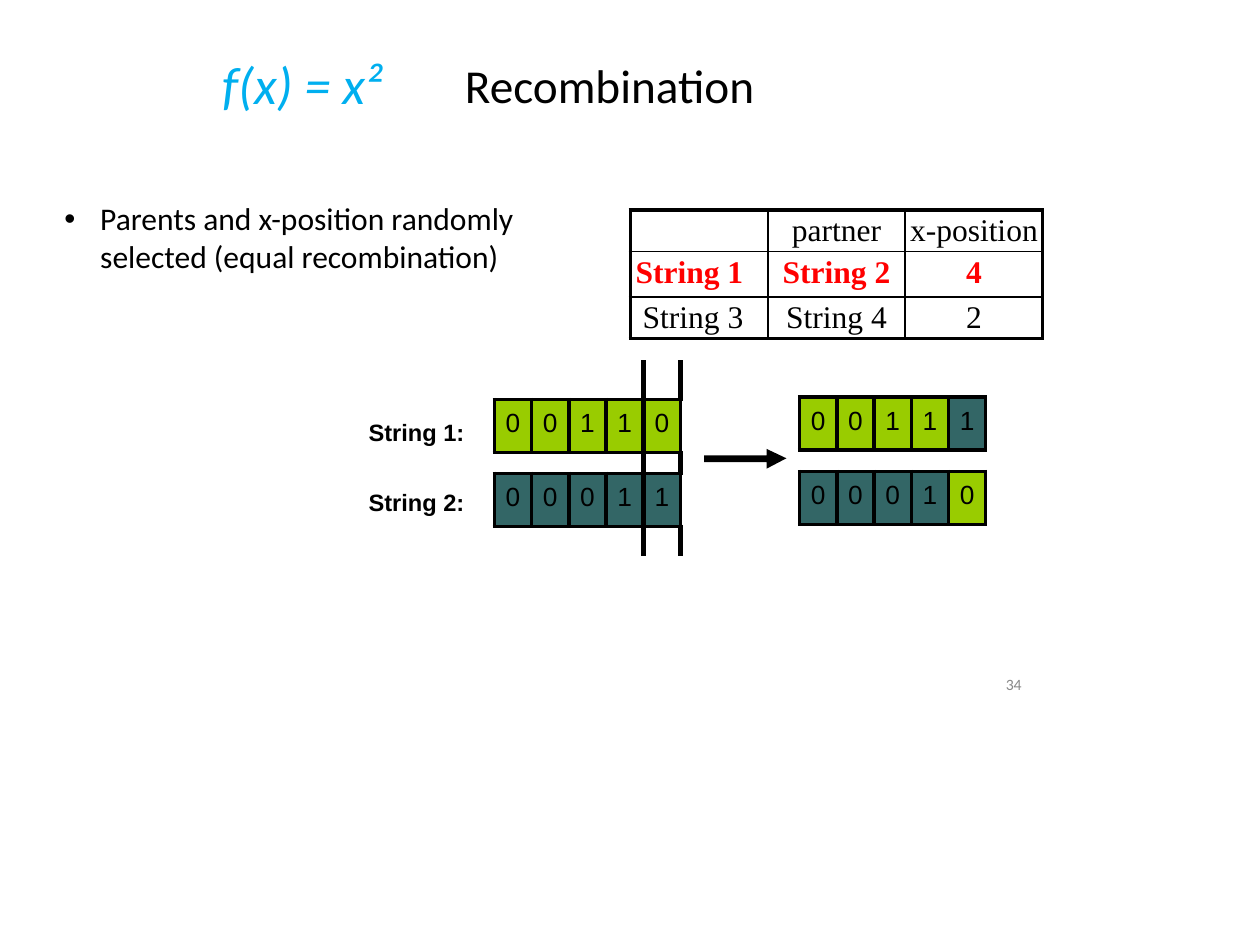
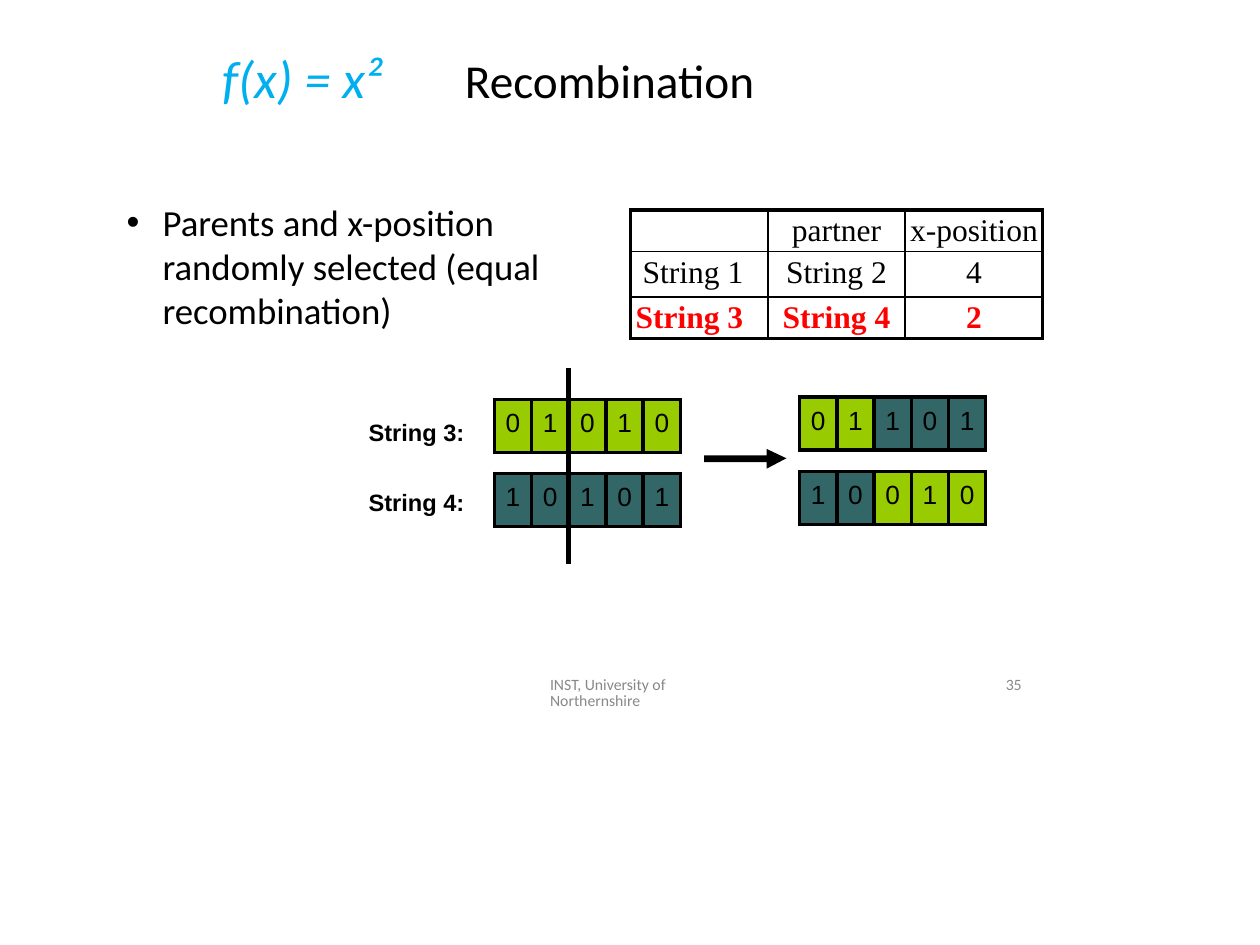
import pptx
import pptx.util
import pptx.dml.color
import pptx.enum.text
import lxml.etree
from pptx.oxml.ns import qn

Inches, Pt = pptx.util.Inches, pptx.util.Pt
ALIGN = pptx.enum.text.PP_ALIGN

COLORS = {"black": "000000", "formula": "00AFEF", "chosen": "FF0000",
          "first": "99CC00", "second": "336666", "footer": "888888"}
NO_GRID_STYLE = "{2D5ABB26-0587-4C30-8999-92F81FD0307C}"

FORMULA, TITLE = "f(x) = x²", "Recombination"
RULE = "Parents and x-position randomly selected (equal recombination)"
FOOTER = "INST, University of Northernshire"
SCHEDULE = [("", "partner", "x-position"),
            ("String 1", "String 2", "4"),
            ("String 3", "String 4", "2")]

SLIDES = [
    {"pair": 1, "parents": ("00110", "00011"), "title_top": 0.54,
     "rule_box": (0.67, 2.1, 5.75, 0.82), "rule_size": 24,
     "cut_top": 3.81, "footer": "", "number": "34"},
    {"pair": 2, "parents": ("01010", "10101"), "title_top": 0.48,
     "rule_box": (1.33, 2.1, 5.08, 1.43), "rule_size": 28,
     "cut_top": 3.89, "footer": FOOTER, "number": "35"},
]

GENES_WIDTH, GENE_HEIGHT, PARENT_GAP, CUT_HEIGHT = 1.97, 0.56, 0.22, 2.08
PARENTS_LEFT, PARENTS_TOP = 5.23, 4.23
CHILDREN_LEFT, CHILDREN_TOPS = 8.46, (4.2, 4.99)
GENE_LINE, CUT_LINE, OUTER_LINE, INNER_LINE = 3, 4.25, 3, 1.5
ARROW = [(7.45, 4.82), (8.11, 4.82), (8.11, 4.75), (8.32, 4.85),
         (8.11, 4.96), (8.11, 4.89), (7.45, 4.89)]


def rgb(name):
    return pptx.dml.color.RGBColor.from_string(COLORS[name])


def write(para, text, size=20, font="Arial", color="black", bold=False,
          italic=False, align=None, before=0, line=None, indent=0, bullet=""):
    para.alignment = align
    para.space_before = Pt(before)
    if line:
        para.line_spacing = Pt(line)
    span = para.add_run()
    span.text = text
    span.font.size, span.font.name = Pt(size), font
    span.font.bold, span.font.italic = bold, italic
    span.font.color.rgb = rgb(color)
    props = para._p.get_or_add_pPr()
    props.set("marL", str(Inches(indent)))
    if bullet:
        props.set("indent", str(-Inches(0.38)))
        lxml.etree.SubElement(props, qn("a:buFont")).set("typeface", "Arial")
        lxml.etree.SubElement(props, qn("a:buChar")).set("char", bullet)


def add_text(page, place, text, top_inset=0.01, **style):
    box = page.shapes.add_textbox(*map(Inches, place))
    frame = box.text_frame
    frame.word_wrap = True
    frame.auto_size = pptx.enum.text.MSO_AUTO_SIZE.SHAPE_TO_FIT_TEXT
    frame.margin_left = frame.margin_right = frame.margin_bottom = 0
    frame.margin_top = Inches(top_inset)
    write(frame.paragraphs[0], text, **style)
    return frame


def add_table(page, left, top, width, columns, heights):
    """Add an unstyled table with equal columns and no cell margins."""
    table = page.shapes.add_table(
        len(heights), columns, Inches(left), Inches(top),
        Inches(width), Inches(sum(heights))).table
    table.first_row = table.horz_banding = False
    table._tbl.tblPr.find(qn("a:tableStyleId")).text = NO_GRID_STYLE
    for column in table.columns:
        column.width = Inches(width / columns)
    for row, height in zip(table.rows, heights):
        row.height = Inches(height)
    for cell in table.iter_cells():
        cell.margin_left = cell.margin_right = 0
        cell.margin_top = cell.margin_bottom = 0
        small = cell.text_frame.paragraphs[0]._p.get_or_add_endParaRPr()
        small.set("sz", "1000")
    return table


def set_borders(cell, **widths):
    """Draw the sides named L, R, T and B, each with its width in points."""
    props = cell._tc.get_or_add_tcPr()
    sides = [side for side in "LRTB" if side in widths]
    for index, side in enumerate(sides):
        line = lxml.etree.Element(qn("a:ln" + side), w=str(Pt(widths[side])))
        fill = lxml.etree.SubElement(line, qn("a:solidFill"))
        lxml.etree.SubElement(fill, qn("a:srgbClr")).set("val", COLORS["black"])
        props.insert(index, line)


def fill_genes(table, row, genes, cut=None):
    """Fill a row with (digit, colour) pairs; the cut is a heavier line."""
    for column, (digit, color) in enumerate(genes):
        cell = table.cell(row, column)
        cell.margin_top = Inches(0.1)
        cell.fill.solid()
        cell.fill.fore_color.rgb = rgb(color)
        write(cell.text_frame.paragraphs[0], digit, align=ALIGN.CENTER,
              before=7.5)
        set_borders(cell, T=GENE_LINE, B=GENE_LINE,
                    L=CUT_LINE if column == cut else GENE_LINE,
                    R=CUT_LINE if column + 1 == cut else GENE_LINE)


def add_parents(page, parents, cut, top):
    above = PARENTS_TOP - top
    below = CUT_HEIGHT - above - 2 * GENE_HEIGHT - PARENT_GAP
    heights = [above, GENE_HEIGHT, PARENT_GAP, GENE_HEIGHT, below]
    count = len(parents[0])
    table = add_table(page, PARENTS_LEFT, top, GENES_WIDTH, count, heights)
    for row, genes in zip((1, 3), parents):
        fill_genes(table, row, genes, cut)
    for row in (0, 2, 4):
        for start, end in ((0, cut - 1), (cut, count - 1)):
            if end > start:
                table.cell(row, start).merge(table.cell(row, end))
        set_borders(table.cell(row, 0), R=CUT_LINE)
        set_borders(table.cell(row, cut), L=CUT_LINE)


def add_children(page, parents, cut):
    first, second = parents
    children = (first[:cut] + second[cut:], second[:cut] + first[cut:])
    for top, genes in zip(CHILDREN_TOPS, children):
        table = add_table(page, CHILDREN_LEFT, top, GENES_WIDTH, len(genes),
                          [GENE_HEIGHT])
        fill_genes(table, 0, genes)


def add_schedule(page, chosen):
    table = add_table(page, 6.67, 2.22, 4.36, 3, [0.4, 0.48, 0.43])
    last = len(SCHEDULE) - 1
    for row, texts in enumerate(SCHEDULE):
        for column, text in enumerate(texts):
            cell = table.cell(row, column)
            cell.margin_top = Inches(0.04)
            if column == 0:
                cell.margin_right = Inches(0.26)
            if text:
                write(cell.text_frame.paragraphs[0], text, size=24,
                      font="Times New Roman", before=3, bold=row == chosen,
                      color="chosen" if row == chosen else "black",
                      align=ALIGN.CENTER if column else ALIGN.RIGHT)
            edges = {"L": column == 0, "R": column == 2,
                     "T": row == 0, "B": row == last}
            set_borders(cell, **{side: OUTER_LINE if outer else INNER_LINE
                                 for side, outer in edges.items()})


def add_arrow(page):
    points = [(Inches(x), Inches(y)) for x, y in ARROW]
    builder = page.shapes.build_freeform(*points[0], scale=1.0)
    builder.add_line_segments(points[1:], close=True)
    arrow = builder.convert_to_shape()
    arrow.shadow.inherit = False
    arrow.fill.solid()
    arrow.fill.fore_color.rgb = rgb("black")
    arrow.line.fill.background()


def add_slide(deck, content):
    page = deck.slides.add_slide(deck.slide_layouts[6])
    top = content["title_top"]
    add_text(page, (2.34, top, 1.73, 0.69), FORMULA, size=40, font="Calibri",
             color="formula", italic=True, before=0.9, indent=0.01)
    add_text(page, (4.91, top + 0.05, 3.1, 0.63), TITLE, size=36,
             font="Calibri", before=1, indent=0.01)
    add_text(page, content["rule_box"], RULE, size=content["rule_size"],
             font="Calibri", before=1, indent=0.39, bullet="•")

    names = SCHEDULE[content["pair"]][:2]
    cut = int(SCHEDULE[content["pair"]][2])
    parents = [[(digit, color) for digit in digits]
               for digits, color in zip(content["parents"], ("first", "second"))]
    add_parents(page, parents, cut, content["cut_top"])
    add_children(page, parents, cut)
    add_arrow(page)

    label = {"size": 18, "bold": True, "indent": 0.01}
    frame = add_text(page, (3.89, 4.41, 1.04, 1.05), names[0] + ":",
                     before=1, **label)
    write(frame.add_paragraph(), names[1] + ":", before=32, **label)

    small = {"size": 12, "font": "Calibri", "color": "footer", "line": 12.4,
             "top_inset": 0}
    if content["footer"]:
        add_text(page, (5.81, 7.17, 2.2, 0.17), content["footer"],
                 indent=0.01, **small)
    add_text(page, (10.6, 7.17, 0.25, 0.17), content["number"],
             indent=0.04, **small)
    add_schedule(page, content["pair"])


def main():
    deck = pptx.Presentation()
    deck.slide_width, deck.slide_height = Inches(13.33), Inches(10)
    for content in SLIDES:
        add_slide(deck, content)
    deck.save("out.pptx")


if __name__ == "__main__":
    main()
